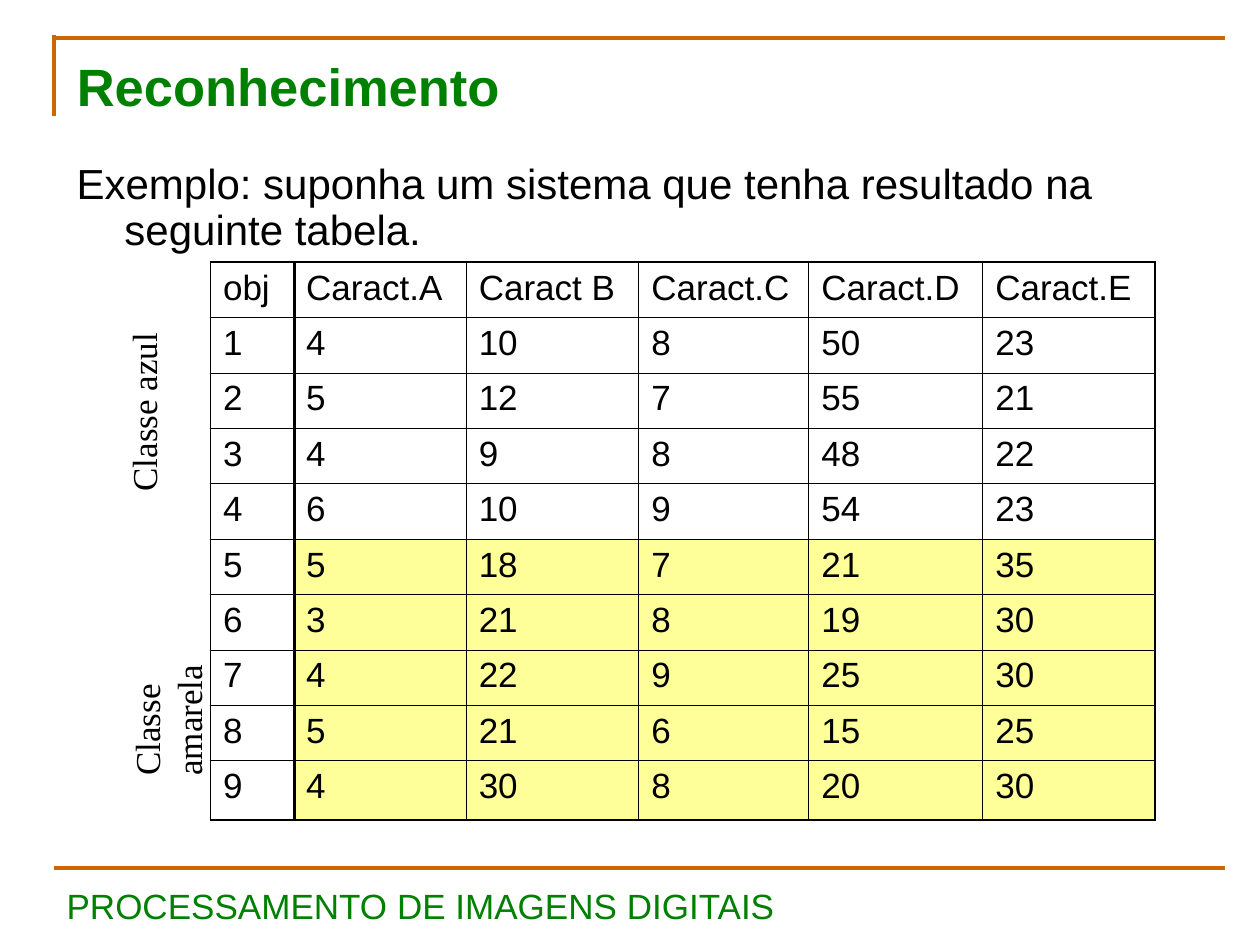
from lxml.etree import SubElement
from pptx import Presentation
from pptx.dml.color import RGBColor
from pptx.enum.shapes import MSO_CONNECTOR
from pptx.enum.text import MSO_ANCHOR, PP_ALIGN
from pptx.oxml import parse_xml
from pptx.oxml.ns import nsdecls, qn
from pptx.util import Inches, Pt

BLACK, WHITE, GREEN, ORANGE, YELLOW = "000000", "FFFFFF", "008000", "CC6600", "FFFF99"
THIN, THICK = 0.45, 1.08
TABLE_TOP, TABLE_HEIGHT, ROW_HEIGHT = 2.08, 4.43, 0.44
BODY = {"name": "Arial", "size": Pt(20), "bold": False}
CLASS_LABEL = {**BODY, "name": "Times New Roman"}
INTRO = {**BODY, "size": Pt(24)}
TITLE = {**BODY, "size": Pt(30), "bold": True}

FEATURES = [
    ["Caract.A", "Caract B", "Caract.C", "Caract.D", "Caract.E"],
    [4, 10, 8, 50, 23],
    [5, 12, 7, 55, 21],
    [4, 9, 8, 48, 22],
    [6, 10, 9, 54, 23],
    [5, 18, 7, 21, 35],
    [3, 21, 8, 19, 30],
    [4, 22, 9, 25, 30],
    [5, 21, 6, 15, 25],
    [4, 30, 8, 20, 30],
]
FEATURE_FILLS = [None] + [WHITE] * 4 + [YELLOW] * 5
OBJECTS = [["obj"]] + [[number] for number in range(1, 10)]
OBJECT_FILLS = [None] * len(OBJECTS)


def rgb(value):
    """Turn a hex string into a colour."""
    return RGBColor.from_string(value)


def write(frame, text, style, color=BLACK):
    """Put one formatted, left-aligned paragraph in a text frame."""
    para = frame.paragraphs[0]
    para.alignment = PP_ALIGN.LEFT
    span = para.add_run()
    span.text = str(text)
    for name, value in style.items():
        setattr(span.font, name, value)
    span.font.color.rgb = rgb(color)
    return para


def add_text(page, box, text, style, color=BLACK, wrap=True, rotation=0):
    """Add a text box and return its paragraph."""
    shape = page.shapes.add_textbox(*map(Inches, box))
    shape.rotation = rotation
    shape.text_frame.word_wrap = wrap
    return write(shape.text_frame, text, style, color)


def add_title(page, box, text):
    """Move and format the title placeholder."""
    title = page.shapes.title
    title.left, title.top, title.width, title.height = map(Inches, box)
    title.text_frame.word_wrap = True
    title.text_frame.vertical_anchor = MSO_ANCHOR.TOP
    write(title.text_frame, text, TITLE, GREEN)


def add_intro(page, box, text):
    """Add the introduction with a hanging indent."""
    para = add_text(page, box, text, INTRO)
    para.line_spacing = 0.9
    indent = Inches(0.38)
    properties = para._p.get_or_add_pPr()
    properties.set("marL", str(indent))
    properties.set("indent", str(-indent))


def add_rule(page, start, end):
    """Draw one frame line between two points."""
    line = page.shapes.add_connector(MSO_CONNECTOR.STRAIGHT, *map(Inches, start + end))
    line.line.color.rgb = rgb(ORANGE)
    line.line.width = Pt(2.5)
    SubElement(line._element.spPr, qn("a:effectLst"))


def add_frame(page, box):
    """Draw the top and bottom rules and the short left rule."""
    left, top, width, height = box
    add_rule(page, (left, 0.92), (left, top - 0.02))
    for level in (top, top + height):
        add_rule(page, (left, level), (left + width, level))


def set_borders(cell, widths):
    """Set the left, right, top and bottom border widths of a cell."""
    properties = cell._tc.get_or_add_tcPr()
    for index, (side, width) in enumerate(zip("LRTB", widths)):
        properties.insert(index, parse_xml(
            f'<a:ln{side} {nsdecls("a")} w="{Pt(width)}"><a:solidFill>'
            f'<a:srgbClr val="{BLACK}"/></a:solidFill></a:ln{side}>'))


def add_grid(page, left, widths, rows, fills):
    """Add a table with a thick outline and thin inner lines."""
    last_row, last_column = len(rows) - 1, len(widths) - 1
    box = (left, TABLE_TOP, sum(widths), TABLE_HEIGHT)
    table = page.shapes.add_table(len(rows), len(widths), *map(Inches, box)).table
    table.first_row = table.horz_banding = False
    for column, width in zip(table.columns, widths):
        column.width = Inches(width)
    for row in table.rows:
        row.height = Inches(ROW_HEIGHT)
    table.rows[last_row].height = Inches(TABLE_HEIGHT - last_row * ROW_HEIGHT)
    for r, (values, fill) in enumerate(zip(rows, fills)):
        for c, value in enumerate(values):
            cell = table.cell(r, c)
            write(cell.text_frame, value, BODY)
            if fill:
                cell.fill.solid()
                cell.fill.fore_color.rgb = rgb(fill)
            else:
                cell.fill.background()
            outer = (c == 0, c == last_column, r == 0, r == last_row)
            set_borders(cell, [THICK if edge else THIN for edge in outer])


def build_slide(page):
    """Place all parts of the recognition slide."""
    add_frame(page, (0.43, 0.3, 9.29, 6.59))
    add_title(page, (0.51, 0.38, 9.13, 0.6), "Reconhecimento")
    add_intro(page, (0.51, 1.25, 8.74, 0.83),
              "Exemplo: suponha um sistema que tenha resultado na seguinte tabela.")
    add_grid(page, 2.33, [1.37, 1.37, 1.35, 1.38, 1.37], FEATURES, FEATURE_FILLS)
    add_grid(page, 1.67, [0.67], OBJECTS, OBJECT_FILLS)
    for text, box in (("Classe azul", (0.41, 3.05, 1.46, 0.44)),
                      ("Classe amarela", (0.23, 5.1, 1.87, 0.44))):
        add_text(page, box, text, CLASS_LABEL, wrap=False, rotation=270)
    add_text(page, (0.43, 6.97, 6.79, 0.44), "PROCESSAMENTO DE IMAGENS DIGITAIS", BODY, GREEN)


def main():
    """Build and save the deck."""
    deck = Presentation()
    deck.slide_width, deck.slide_height = Inches(10), Inches(7.5)
    build_slide(deck.slides.add_slide(deck.slide_layouts[5]))
    deck.save("out.pptx")


if __name__ == "__main__":
    main()
